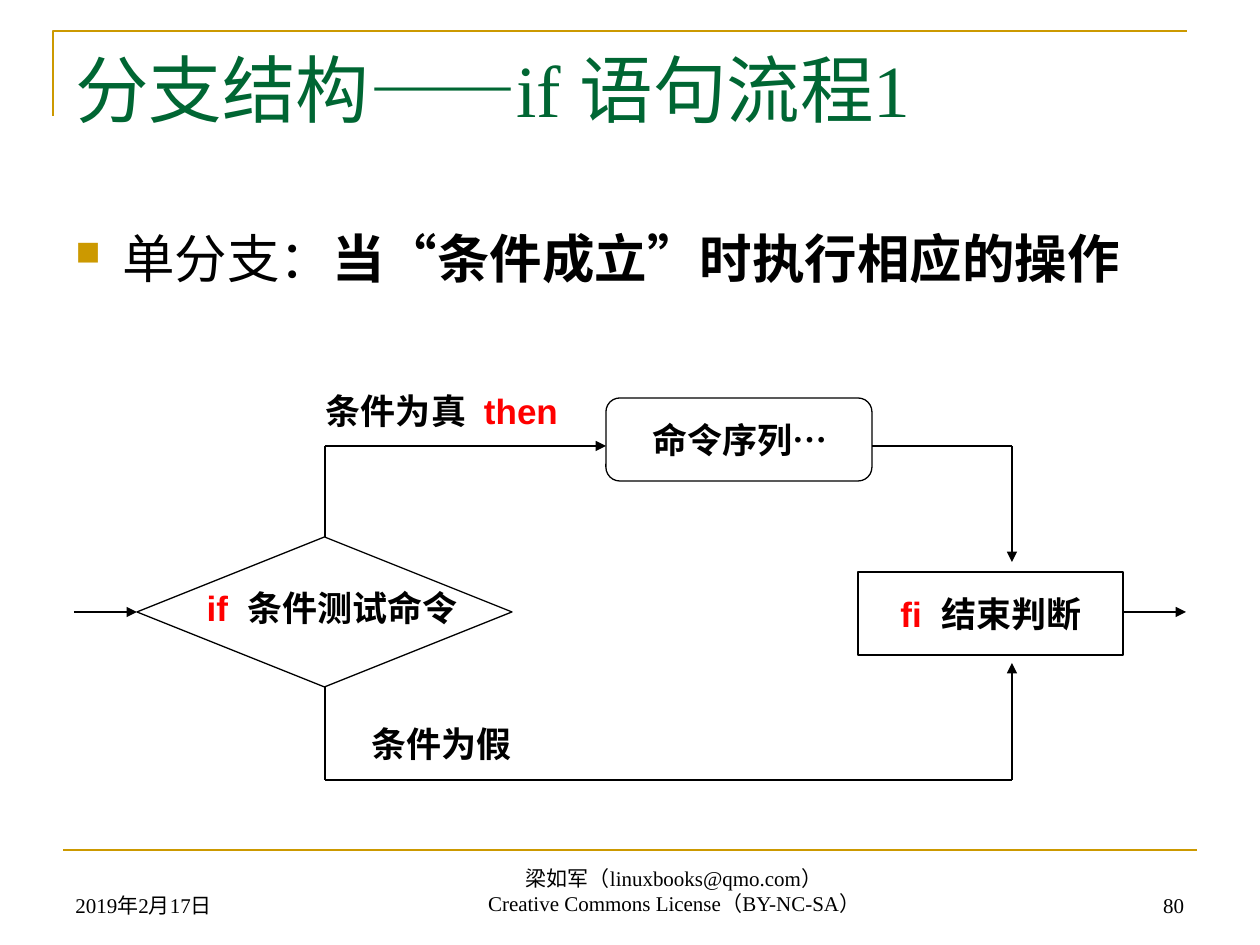
from lxml import etree
from pptx import Presentation
from pptx.dml.color import RGBColor
from pptx.enum.shapes import MSO_CONNECTOR, MSO_SHAPE
from pptx.enum.text import MSO_ANCHOR, PP_ALIGN
from pptx.oxml.ns import qn
from pptx.util import Pt

LEFT, CENTER, RIGHT = PP_ALIGN.LEFT, PP_ALIGN.CENTER, PP_ALIGN.RIGHT
TOP, BOTTOM = MSO_ANCHOR.TOP, MSO_ANCHOR.BOTTOM
PROCESS = MSO_SHAPE.FLOWCHART_PROCESS
DECISION = MSO_SHAPE.FLOWCHART_DECISION
ALTERNATE = MSO_SHAPE.FLOWCHART_ALTERNATE_PROCESS
STRAIGHT = MSO_CONNECTOR.STRAIGHT

SCALE = 914400 / 126  # EMU per px
COLORS = {"gold": "CC9900", "green": "006633", "black": "000000",
          "red": "FF0000", "white": "FFFFFF"}
SERIF, SANS, CJK = "Times New Roman", "Arial", "Noto Sans CJK SC"
GAP = " "  # a widened space between keyword and label

# Content: a span is (text, size, font, colour, bold)
TITLE = [[("分支结构——if 语句流程1", 42, SERIF, "green", False)]]
BODY = [[("单分支：", 30, SANS, "black", False),
         ("当“条件成立”时执行相应的操作", 30, CJK, "black", True)]]
FOOTERS = [  # box, alignment, lines
    ((63, 861, 294, 63), LEFT, ["2019年2月17日"]),
    ((302, 859, 745, 63), CENTER, ["梁如军（linuxbooks@qmo.com）",
                                   "Creative Commons License（BY-NC-SA）"]),
    ((903, 861, 294, 63), RIGHT, ["80"]),
]
NODES = [
    (PROCESS, (858, 572, 265, 83)),
    (DECISION, (137, 537, 375, 150)),
    (ALTERNATE, (606, 398, 266, 83)),
]
LABELS = [  # box, alignment, right inset, (text, colour) pieces
    ((166, 580, 325, 55), RIGHT, 33,
     [("if", "red"), (GAP, "red"), ("条件测试命令", "black")]),
    ((611, 412, 258, 55), CENTER, 13, [("命令序列…", "black")]),
    ((888, 586, 222, 55), LEFT, 13,
     [("fi", "red"), (GAP, "red"), ("结束判断", "black")]),
    ((305, 383, 266, 55), RIGHT, 13,
     [("条件为真", "black"), (GAP, "black"), ("then", "red")]),
    ((309, 716, 266, 55), RIGHT, 63, [("条件为假", "black")]),
]
# Flow rails: decision axis, merge axis, and the three levels
TEST_X, MERGE_X = 325, 1012
TRUE_Y, MAIN_Y, FALSE_Y = 446, 612, 780
FLOWS = [  # start, end, arrowhead
    ((TEST_X, TRUE_Y), (TEST_X, 537), False),
    ((TEST_X, 687), (TEST_X, FALSE_Y), False),
    ((TEST_X, TRUE_Y), (606, TRUE_Y), True),
    ((872, TRUE_Y), (MERGE_X, TRUE_Y), False),
    ((MERGE_X, TRUE_Y), (MERGE_X, 562), True),
    ((TEST_X, FALSE_Y), (MERGE_X, FALSE_Y), False),
    ((MERGE_X, FALSE_Y), (MERGE_X, 663), True),
    ((74, MAIN_Y), (137, MAIN_Y), True),
    ((1123, MAIN_Y), (1186, MAIN_Y), True),
]


def px(*values):
    return [round(value * SCALE) for value in values]


def rgb(name):
    return RGBColor.from_string(COLORS[name])


def add_text(slide, place, paragraphs, align=LEFT, anchor=TOP, right=13):
    box = slide.shapes.add_textbox(*px(*place))
    frame = box.text_frame
    frame.word_wrap = True
    frame.vertical_anchor = anchor
    frame.margin_right = px(right)[0]
    for index, spans in enumerate(paragraphs):
        para = frame.add_paragraph() if index else frame.paragraphs[0]
        para.alignment = align
        for text, size, font, color, bold in spans:
            span = para.add_run()
            span.text = text
            span.font.size = Pt(size)
            span.font.bold = bold
            span.font.name = font
            span.font.color.rgb = rgb(color)
            props = span._r.get_or_add_rPr()
            etree.SubElement(props, qn("a:ea"), typeface=CJK)
            if text == GAP:
                props.set("spc", "560")
    return box


def add_bullet(para, color, percent, mark):
    props = para._p.get_or_add_pPr()
    indent = px(47)[0]
    props.set("marL", str(indent))
    props.set("indent", str(-indent))
    tint = etree.SubElement(props, qn("a:buClr"))
    etree.SubElement(tint, qn("a:srgbClr"), val=COLORS[color])
    etree.SubElement(props, qn("a:buSzPct"), val=str(percent * 1000))
    etree.SubElement(props, qn("a:buChar"), char=mark)


def add_line(slide, start, end, color="black", width=0.75, arrow=False):
    line = slide.shapes.add_connector(STRAIGHT, *px(*start, *end))
    line.line.color.rgb = rgb(color)
    line.line.width = Pt(width)
    if arrow:
        etree.SubElement(line.line._get_or_add_ln(), qn("a:tailEnd"),
                         type="triangle")
    etree.SubElement(line._element.spPr, qn("a:effectLst"))


def main():
    deck = Presentation()
    deck.slide_width, deck.slide_height = px(1260, 945)
    slide = deck.slides.add_slide(deck.slide_layouts[6])

    # Gold frame
    outline = slide.shapes.build_freeform(53, 116, scale=SCALE)
    outline.add_line_segments([(53, 31), (1187, 31)], close=False)
    corner = outline.convert_to_shape()
    corner.shadow.inherit = False
    corner.fill.background()
    corner.line.color.rgb = rgb("gold")
    corner.line.width = Pt(1.5)
    add_line(slide, (63, 850), (1197, 850), "gold", 1.5)

    # Title, body and footers
    add_text(slide, (63, 38, 1134, 157), TITLE)
    body = add_text(slide, (63, 220, 1134, 624), BODY)
    add_bullet(body.text_frame.paragraphs[0], "gold", 65, "■")
    for place, align, lines in FOOTERS:
        rows = [[(line, 12, SERIF, "black", False)] for line in lines]
        add_text(slide, place, rows, align, BOTTOM)

    # Flowchart
    for kind, place in NODES:
        node = slide.shapes.add_shape(kind, *px(*place))
        node.shadow.inherit = False
        node.fill.solid()
        node.fill.fore_color.rgb = rgb("white")
        node.line.color.rgb = rgb("black")
        node.line.width = Pt(0.75)
    for start, end, arrow in FLOWS:
        add_line(slide, start, end, arrow=arrow)
    for place, align, right, pieces in LABELS:
        spans = [(text, 20, SANS, color, True) for text, color in pieces]
        add_text(slide, place, [spans], align, right=right)

    deck.save("out.pptx")


if __name__ == "__main__":
    main()
